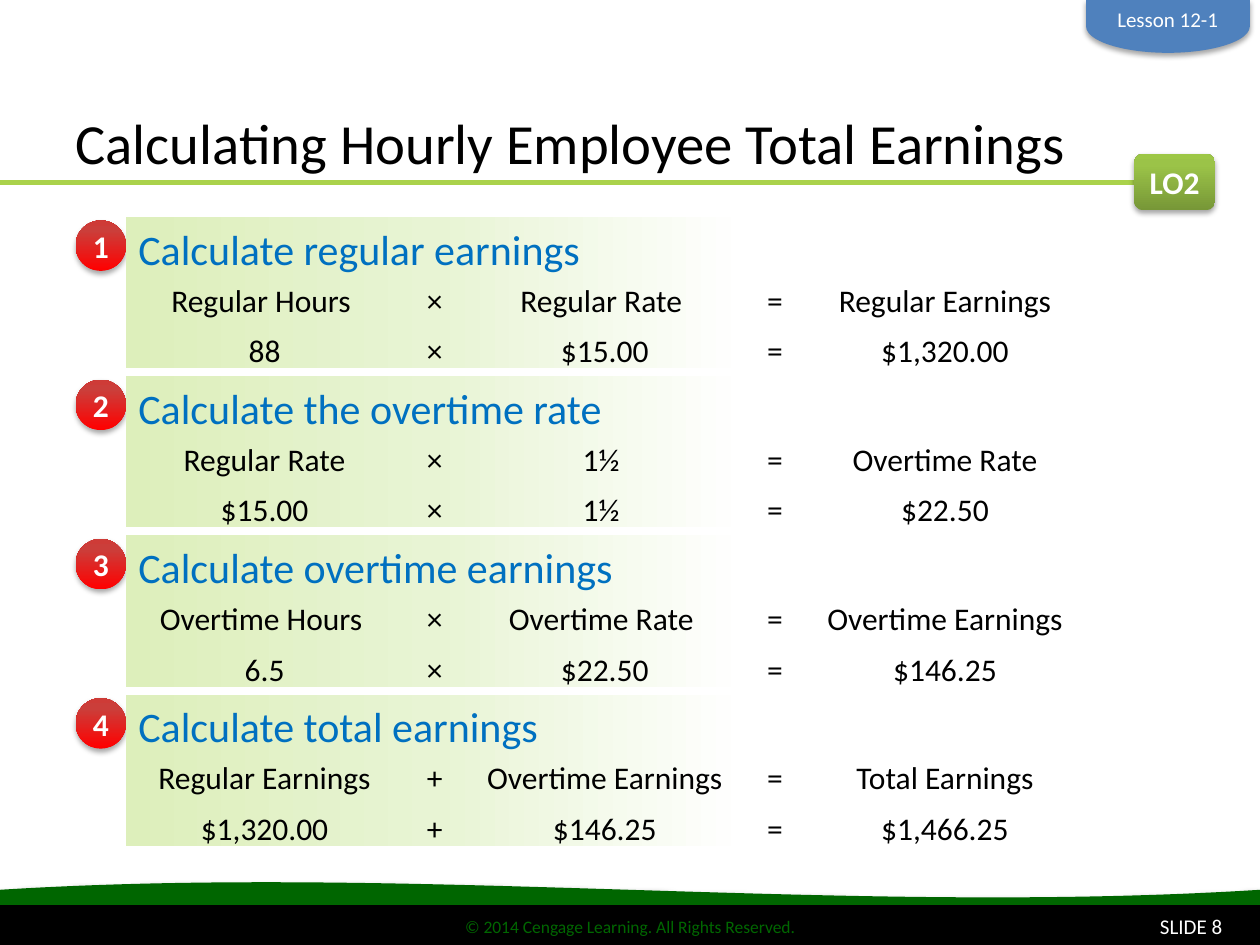
from lxml.etree import SubElement
from pptx import Presentation
from pptx.dml.color import RGBColor
from pptx.enum.shapes import MSO_CONNECTOR, MSO_SHAPE as SHAPE
from pptx.enum.text import MSO_ANCHOR as ANCHOR, PP_ALIGN as ALIGN
from pptx.oxml.ns import qn
from pptx.util import Pt

TITLE = "Calculating Hourly Employee Total Earnings"
LESSON = "Lesson 12-1"
OBJECTIVE = "LO2"
COPYRIGHT = "© 2014 Cengage Learning. All Rights Reserved."
SLIDE_NUMBER = "SLIDE 8"
STEPS = [
    ("Calculate regular earnings",
     [("Regular Hours ", "×", "Regular Rate ", "=", "Regular Earnings"),
      ("88", "×", "$15.00", "=", "$1,320.00")]),
    ("Calculate the overtime rate",
     [("Regular Rate", "×", "1½ ", "=", "Overtime Rate"),
      ("$15.00", "×", "1½ ", "=", "$22.50")]),
    ("Calculate overtime earnings",
     [("Overtime Hours ", "×", "Overtime Rate ", "=", "Overtime Earnings"),
      ("6.5", "×", "$22.50", "=", "$146.25")]),
    ("Calculate total earnings",
     [("Regular Earnings", "+", "Overtime Earnings", "=", "Total Earnings"),
      ("$1,320.00", "+", "$146.25", "=", "$1,466.25")]),
]

FONT = "Calibri"
BLACK = RGBColor(0x00, 0x00, 0x00)
WHITE = RGBColor(0xFF, 0xFF, 0xFF)
DARK_GREEN = RGBColor(0x00, 0x66, 0x00)
LIME = RGBColor(0xAA, 0xD2, 0x4B)
TAB_BLUE = RGBColor(0x4F, 0x81, 0xBD)
HEADING_BLUE = RGBColor(0x00, 0x70, 0xC0)

# Gradients: (position in percent, colour) stops, then clockwise angle
GREEN_BUTTON = ([(0, RGBColor(0x77, 0x97, 0x37)), (80, RGBColor(0x9B, 0xC3, 0x48)),
                 (100, RGBColor(0x9D, 0xC7, 0x46))], 270)
RED_BADGE = ([(0, RGBColor(0xFF, 0x00, 0x00)), (80, RGBColor(0xCB, 0x3E, 0x3A)),
              (100, RGBColor(0xCE, 0x3B, 0x37))], 270)
PALE_PANEL = ([(0, RGBColor(0xDD, 0xEF, 0xBB)), (50, RGBColor(0xE8, 0xF4, 0xD4)),
               (100, WHITE)], 0)

SLIDE_W, SLIDE_H = 720, 540
FOOTER_H = 21.6
STEP_TOP, STEP_PITCH = 124, 91
PANEL_LEFT, PANEL_W, PANEL_H = 72, 354, 86.4
BADGE = 28.8
TABLE_OFFSET, ROW_H = 33.6, 28.8
COLUMN_WIDTHS = [158.4, 36, 158.4, 36, 158.4]
NO_GRID_STYLE = "{2D5ABB26-0587-4C30-8999-92F81FD0307C}"


def set_gradient(fill, stops, angle):
    fill.gradient()
    fill.gradient_angle = (360 - angle) % 360
    stop_list = fill._xPr.find(qn("a:gradFill")).find(qn("a:gsLst"))
    for stop in list(stop_list):
        stop_list.remove(stop)
    for position, colour in stops:
        stop = SubElement(stop_list, qn("a:gs"), pos=str(position * 1000))
        SubElement(stop, qn("a:srgbClr"), val=str(colour))


def add_soft_shadow(shape):
    effects = shape._element.spPr.find(qn("a:effectLst"))
    shadow = SubElement(effects, qn("a:outerShdw"), blurRad=str(Pt(3.1)),
                        dist=str(Pt(1.8)), dir="5400000", rotWithShape="0")
    colour = SubElement(shadow, qn("a:srgbClr"), val=str(BLACK))
    SubElement(colour, qn("a:alpha"), val="35000")


def add_block(slide, kind, left, top, width, height, fill, shadow=False):
    """Add a borderless shape; fill is a colour or a (stops, angle) gradient."""
    block = slide.shapes.add_shape(kind, Pt(left), Pt(top), Pt(width), Pt(height))
    if isinstance(fill, RGBColor):
        block.fill.solid()
        block.fill.fore_color.rgb = fill
    else:
        set_gradient(block.fill, *fill)
    block.line.fill.background()
    block.shadow.inherit = False
    if shadow:
        add_soft_shadow(block)
    return block


def write(frame, text, size, colour, align=ALIGN.CENTER, anchor=ANCHOR.MIDDLE, bold=False):
    frame.text = text
    frame.vertical_anchor = anchor
    paragraph = frame.paragraphs[0]
    paragraph.alignment = align
    font = paragraph.font
    font.name, font.size, font.bold = FONT, Pt(size), bold
    font.color.rgb = colour


def add_footer(slide):
    top = SLIDE_H - FOOTER_H
    add_block(slide, SHAPE.WAVE, 0, 504, SLIDE_W, 36, DARK_GREEN, shadow=True)
    bar = add_block(slide, SHAPE.RECTANGLE, 0, top, SLIDE_W, FOOTER_H, BLACK)
    bar.line.color.rgb = BLACK
    bar.line.width = Pt(2)
    write(bar.text_frame, COPYRIGHT, 10, DARK_GREEN)
    number = add_block(slide, SHAPE.RECTANGLE, 561.6, top, 144, FOOTER_H, BLACK)
    write(number.text_frame, SLIDE_NUMBER, 12, WHITE, ALIGN.RIGHT)


def add_header(slide):
    title = slide.shapes.title
    title.left, title.top, title.width, title.height = Pt(36), Pt(14.4), Pt(612), Pt(90)
    write(title.text_frame, TITLE, 32.4, BLACK, ALIGN.LEFT, ANCHOR.BOTTOM)

    rule = slide.shapes.add_connector(MSO_CONNECTOR.STRAIGHT, 0, Pt(104.4), Pt(684), Pt(104.4))
    rule.line.color.rgb = LIME
    rule.line.width = Pt(3)
    SubElement(rule._element.spPr, qn("a:effectLst"))

    objective = add_block(slide, SHAPE.ROUNDED_RECTANGLE, 648, 87.84, 46.4, 32.4,
                          GREEN_BUTTON, shadow=True)
    objective.text_frame.word_wrap = False
    write(objective.text_frame, OBJECTIVE, 18, WHITE, bold=True)

    tab = add_block(slide, SHAPE.FLOWCHART_DELAY, 652.3, -31.7, 30.2, 93.6, TAB_BLUE, shadow=True)
    tab.rotation = 90
    lesson = slide.shapes.add_textbox(Pt(630.9), 0, Pt(72.7), Pt(21.6))
    lesson.text_frame.word_wrap = False
    write(lesson.text_frame, LESSON, 12, WHITE, anchor=ANCHOR.TOP)


def add_step(slide, number, heading, rows):
    top = STEP_TOP + (number - 1) * STEP_PITCH
    badge = add_block(slide, SHAPE.OVAL, PANEL_LEFT - BADGE, top + 2, BADGE, BADGE,
                      RED_BADGE, shadow=True)
    frame = badge.text_frame
    frame.margin_left = frame.margin_right = frame.margin_top = frame.margin_bottom = 0
    write(frame, str(number), 18, WHITE, bold=True)

    panel = add_block(slide, SHAPE.RECTANGLE, PANEL_LEFT, top, PANEL_W, PANEL_H, PALE_PANEL)
    write(panel.text_frame, heading, 24, HEADING_BLUE, ALIGN.LEFT, ANCHOR.TOP)

    table = slide.shapes.add_table(
        len(rows), len(COLUMN_WIDTHS), Pt(PANEL_LEFT), Pt(top + TABLE_OFFSET),
        Pt(sum(COLUMN_WIDTHS)), Pt(len(rows) * ROW_H)).table
    table.first_row = table.horz_banding = False
    table._tbl.tblPr.find(qn("a:tableStyleId")).text = NO_GRID_STYLE
    for column, width in zip(table.columns, COLUMN_WIDTHS):
        column.width = Pt(width)
    for r, row in enumerate(rows):
        for c, text in enumerate(row):
            cell = table.cell(r, c)
            cell.fill.background()
            write(cell.text_frame, text, 18, BLACK, anchor=ANCHOR.TOP)


def main():
    deck = Presentation()
    deck.slide_width, deck.slide_height = Pt(SLIDE_W), Pt(SLIDE_H)
    slide = deck.slides.add_slide(deck.slide_layouts[5])
    add_footer(slide)
    add_header(slide)
    for number, (heading, rows) in enumerate(STEPS, start=1):
        add_step(slide, number, heading, rows)
    deck.save("out.pptx")


if __name__ == "__main__":
    main()
